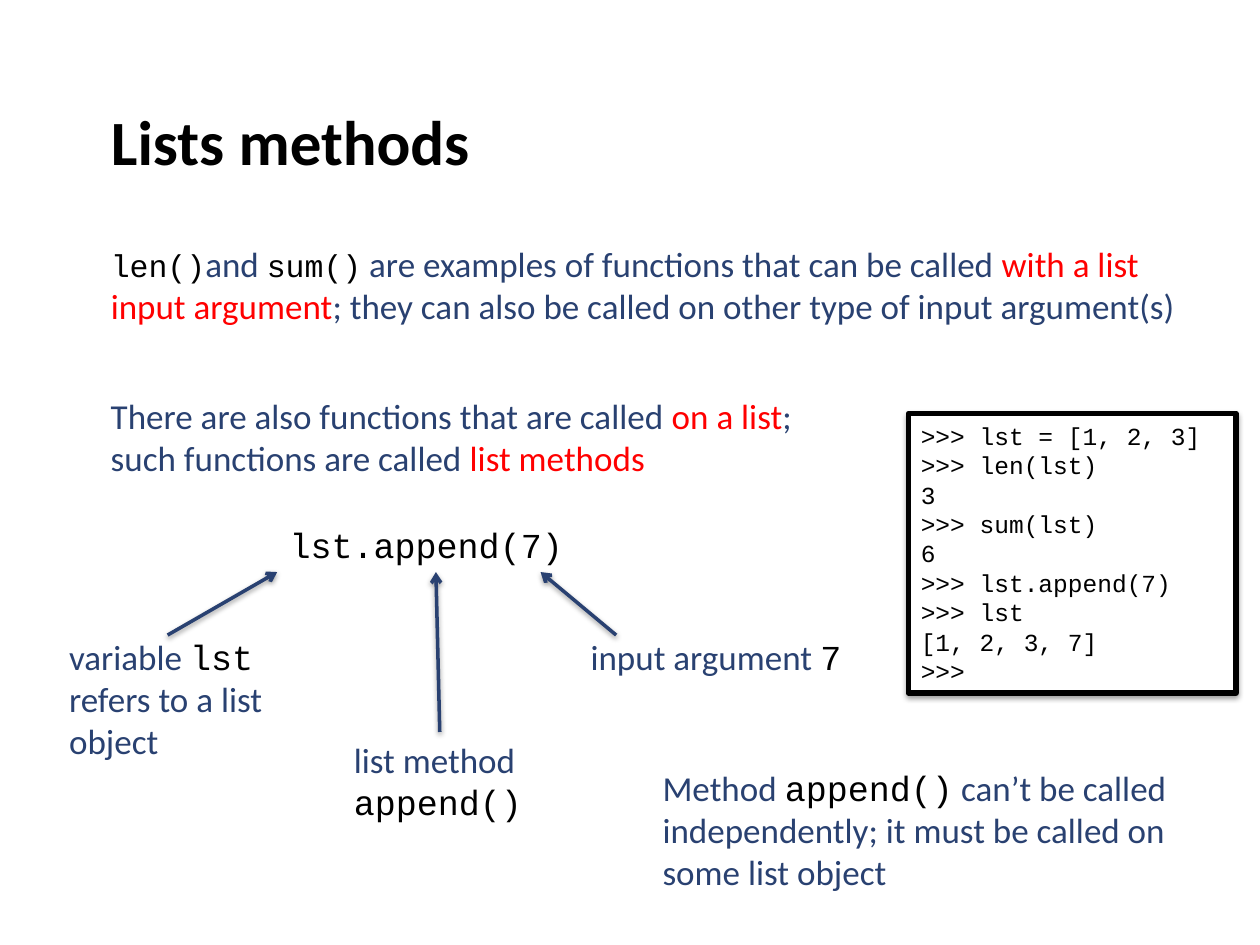
from dataclasses import dataclass

from lxml import etree
from pptx import Presentation
from pptx.dml.color import RGBColor
from pptx.enum.shapes import MSO_CONNECTOR as Connector, MSO_SHAPE as Preset
from pptx.enum.text import MSO_ANCHOR as Anchor, MSO_AUTO_SIZE as AutoSize, PP_ALIGN as Align
from pptx.oxml import parse_xml
from pptx.oxml.ns import nsdecls, qn
from pptx.util import Pt


@dataclass(frozen=True)
class Theme:
    text_font: str = "Calibri"
    code_font: str = "Courier New"
    navy: RGBColor = RGBColor(0x29, 0x41, 0x71)
    red: RGBColor = RGBColor(0xFF, 0, 0)
    black: RGBColor = RGBColor(0, 0, 0)
    white: RGBColor = RGBColor(0xFF, 0xFF, 0xFF)
    title_size: int = 36
    text_size: int = 20
    small_code_size: int = 18
    console_size: int = 14


THEME = Theme()

# Run styles: font, size, colour
PLAIN = (THEME.text_font, THEME.text_size, THEME.navy)
KEY = (THEME.text_font, THEME.text_size, THEME.red)
CODE = (THEME.code_font, THEME.text_size, THEME.black)
SMALL_CODE = (THEME.code_font, THEME.small_code_size, THEME.black)
CONSOLE = (THEME.code_font, THEME.console_size, THEME.black)


def style_font(font, style):
    font.name, size, font.color.rgb = style
    font.size = Pt(size)


def fill_text(frame, paragraphs, wrap=True):
    """Write paragraphs, each a list of (text, style) runs."""
    frame.word_wrap = wrap
    frame.auto_size = AutoSize.SHAPE_TO_FIT_TEXT
    frame.vertical_anchor = Anchor.MIDDLE
    for index, runs in enumerate(paragraphs):
        paragraph = frame.add_paragraph() if index else frame.paragraphs[0]
        paragraph.alignment = Align.LEFT
        for text, style in runs:
            run = paragraph.add_run()
            run.text = text
            style_font(run.font, style)


def add_text(slide, box, paragraphs, wrap=True):
    shape = slide.shapes.add_textbox(*map(Pt, box))
    fill_text(shape.text_frame, paragraphs, wrap)


def add_shadow(shape):
    shape._element.spPr.append(parse_xml(
        f'<a:effectLst {nsdecls("a")}>'
        f'<a:outerShdw blurRad="{Pt(3.1)}" dist="{Pt(1.6)}" dir="5400000" rotWithShape="0">'
        '<a:srgbClr val="000000"><a:alpha val="38000"/></a:srgbClr>'
        '</a:outerShdw></a:effectLst>'))


def add_arrow(slide, start, end):
    arrow = slide.shapes.add_connector(Connector.STRAIGHT, *map(Pt, start + end))
    arrow.line.color.rgb = THEME.navy
    arrow.line.width = Pt(2)
    etree.SubElement(arrow.line._get_or_add_ln(), qn("a:tailEnd"), type="arrow")
    add_shadow(arrow)


def add_title(slide, box, text):
    title = slide.shapes.title
    title.left, title.top, title.width, title.height = map(Pt, box)
    frame = title.text_frame
    frame.auto_size = AutoSize.NONE
    frame.vertical_anchor = Anchor.MIDDLE
    frame.margin_top = Pt(47.6)  # sets the title one line lower
    frame.text = text
    paragraph = frame.paragraphs[0]
    paragraph.alignment = Align.LEFT
    style_font(paragraph.font, (THEME.text_font, THEME.title_size, THEME.black))
    paragraph.font.bold = True


def add_statements(slide, box):
    left, top, width, height = box
    add_text(slide, (left, top, width, height), [[
        ("len()", SMALL_CODE), ("and ", PLAIN), ("sum()", SMALL_CODE),
        (" are examples of functions that can be called ", PLAIN),
        ("with a list input argument", KEY),
        ("; they can also be called on other type of input argument(s)", PLAIN)]])
    add_text(slide, (left, top + 87.1, 450.7, height), [
        [("There are also functions that are called ", PLAIN), ("on a list", KEY), (";", PLAIN)],
        [("such functions are called ", PLAIN), ("list methods", KEY)]])


def add_call_diagram(slide, box):
    """The call on top, with an arrow from each label to the part it explains."""
    left, top, width, height = box
    add_text(slide, (left + 126, top, 172, 31.5), [[("lst.append(7)", CODE)]], wrap=False)

    arrows = [((63.4, 67.7), 126), ((218.9, 123.1), 216.7), ((319.7, 67.7), 276.5)]
    for (start_x, start_y), end_x in arrows:
        add_arrow(slide, (left + start_x, top + start_y), (left + end_x, top + 31.7))

    labels = [
        ((0, 64, 126, 79.8), True,
         [[("variable ", PLAIN), ("lst ", CODE), ("refers to a list object", PLAIN)]]),
        ((298, 64, width - 298, 31.5), False,
         [[("input argument ", PLAIN), ("7", CODE)]]),
        ((162.7, 123.1, 111.6, height - 123.1), False,
         [[("list method", PLAIN)], [("append()", CODE)]]),
    ]
    for (x, y, label_width, label_height), wrap, paragraphs in labels:
        add_text(slide, (left + x, top + y, label_width, label_height), paragraphs, wrap)


def add_note(slide, box):
    add_text(slide, box, [[
        ("Method ", PLAIN), ("append()", CODE),
        (" can’t be called independently; it must be called on some list object", PLAIN)]])


def add_console(slide, box, lines):
    console = slide.shapes.add_shape(Preset.RECTANGLE, *map(Pt, box))
    console.fill.solid()
    console.fill.fore_color.rgb = THEME.white
    console.line.color.rgb = THEME.black
    console.line.width = Pt(3)
    add_shadow(console)
    fill_text(console.text_frame, [[(line, CONSOLE)] for line in lines])


def main():
    presentation = Presentation()
    presentation.slide_width, presentation.slide_height = Pt(720), Pt(540)
    slide = presentation.slides.add_slide(presentation.slide_layouts[5])

    add_title(slide, (56.2, 0, 612, 116), "Lists methods")
    add_statements(slide, (56.2, 134.6, 638, 55.7))
    add_call_diagram(slide, (32.4, 295.2, 457.2, 178.8))
    add_note(slide, (371.5, 434.2, 322.6, 79.8))
    add_console(slide, (519.1, 236.2, 187.2, 159.8), [
        ">>> lst = [1, 2, 3]", ">>> len(lst)", "3", ">>> sum(lst)", "6",
        ">>> lst.append(7)", ">>> lst", "[1, 2, 3, 7]", ">>>"])

    presentation.save("out.pptx")


if __name__ == "__main__":
    main()
